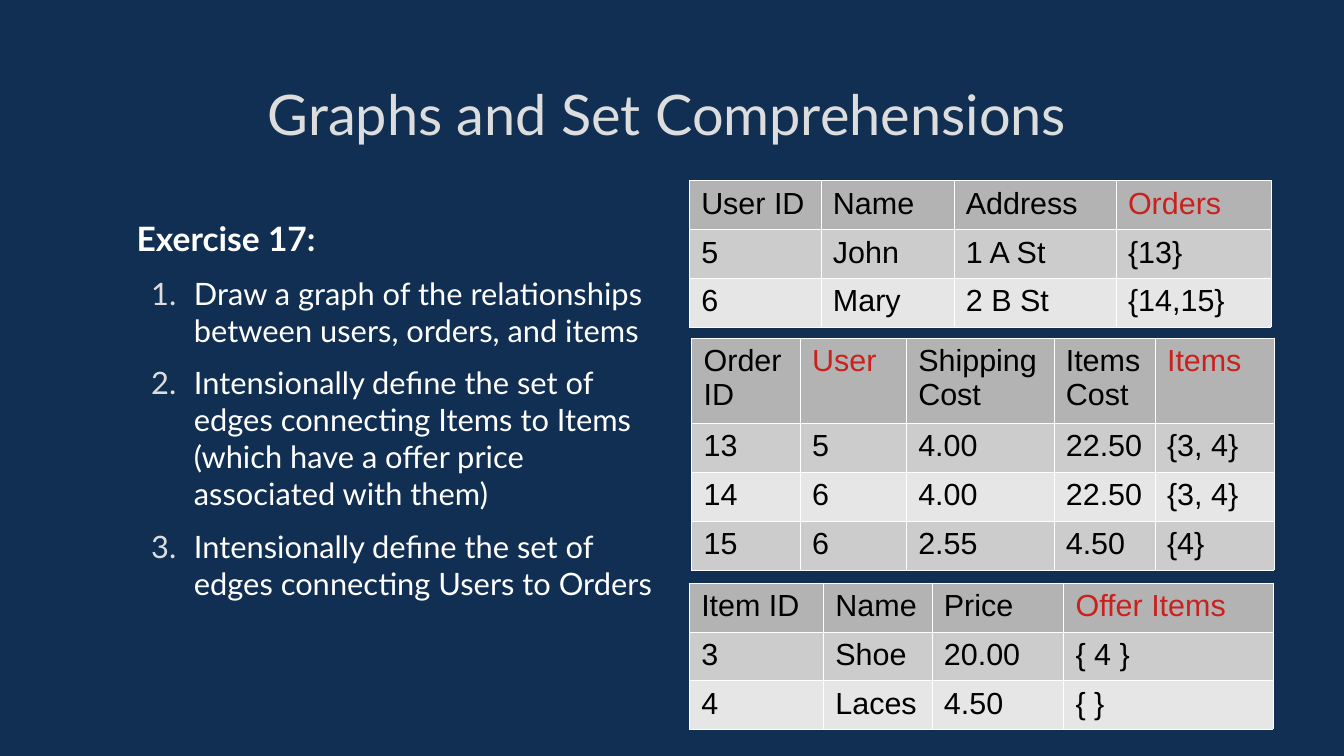
from lxml.etree import SubElement
from pptx import Presentation
from pptx.dml.color import RGBColor
from pptx.enum.text import MSO_ANCHOR, PP_ALIGN
from pptx.oxml.ns import qn
from pptx.util import Inches, Pt

COLORS = {
    "background": "112F52",
    "title": "DDDDDD",
    "body": "FFFFFF",
    "border": "FFFFFF",
    "cell": "000000",
    "relation": "C9211E",
    "header": "B3B3B3",
    "odd": "CCCCCC",
    "even": "E6E6E6",
}


def set_font(paragraph, name, size, color, bold=False):
    font = paragraph.font
    font.name, font.size, font.bold = name, Pt(size), bold
    font.color.rgb = RGBColor.from_string(COLORS[color])


def add_text_frame(left, top, width, height):
    """Add a wrapping text box without insets and return its text frame."""
    frame = slide.shapes.add_textbox(
        Inches(left), Inches(top), Inches(width), Inches(height)).text_frame
    frame.word_wrap = True
    frame.margin_left = frame.margin_right = 0
    frame.margin_top = frame.margin_bottom = 0
    return frame


prs = Presentation()
prs.slide_width, prs.slide_height = Inches(11.02), Inches(6.2)
slide = prs.slides.add_slide(prs.slide_layouts[6])
slide.background.fill.solid()
slide.background.fill.fore_color.rgb = RGBColor.from_string(COLORS["background"])

title = add_text_frame(0.65, 0.38, 9.76, 1.09)
title.vertical_anchor = MSO_ANCHOR.MIDDLE
heading = title.paragraphs[0]
heading.text = "Graphs and Set Comprehensions "
heading.alignment = PP_ALIGN.CENTER
set_font(heading, "Lato", 33, "title")

# Exercise text with numbered tasks
exercise = add_text_frame(0.65, 1.79, 4.76, 3.58)
exercise_heading = exercise.paragraphs[0]
exercise_heading.text = "Exercise 17:"
exercise_heading._p.get_or_add_pPr().set("marL", str(Inches(0.47)))
set_font(exercise_heading, "Lato", 19.8, "body", bold=True)

tasks = [
    "Draw a graph of the relationships between users, orders, and items",
    "Intensionally define the set of edges connecting Items to Items "
    "(which have a offer price associated with them)",
    "Intensionally define the set of edges connecting Users to Orders",
]
for task_text in tasks:
    task = exercise.add_paragraph()
    task.text = task_text
    task.level = 1
    task.space_before = Pt(9.3)
    properties = task._p.get_or_add_pPr()
    properties.set("marL", str(Inches(0.94)))
    properties.set("indent", str(Inches(-0.35)))
    number_color = SubElement(properties, qn("a:buClr"))
    SubElement(number_color, qn("a:srgbClr"), val=COLORS["title"])
    SubElement(properties, qn("a:buAutoNum"), type="arabicPeriod")
    set_font(task, "Lato", 18.2, "body")

# Data tables: left, top, header height, column widths, rows
ROW_HEIGHT = 0.38
relation_columns = {"Orders", "User", "Items", "Offer Items"}
data_tables = [
    (5.65, 1.48, ROW_HEIGHT, [1.08, 1.09, 1.33, 1.27], [
        ["User ID", "Name", "Address", "Orders"],
        ["5", "John", "1 A St", "{13}"],
        ["6", "Mary", "2 B St", "{14,15}"],
    ]),
    (5.67, 2.77, 0.66, [0.89, 0.87, 1.21, 0.83, 0.98], [
        ["Order ID", "User", "Shipping Cost", "Items Cost", "Items"],
        ["13", "5", "4.00", "22.50", "{3, 4}"],
        ["14", "6", "4.00", "22.50", "{3, 4}"],
        ["15", "6", "2.55", "4.50", "{4}"],
    ]),
    (5.65, 4.78, ROW_HEIGHT, [1.1, 0.89, 1.08, 1.72], [
        ["Item ID", "Name", "Price", "Offer Items"],
        ["3", "Shoe", "20.00", "{ 4 }"],
        ["4", "Laces", "4.50", "{ }"],
    ]),
]
for left, top, header_height, widths, rows in data_tables:
    heights = [header_height] + [ROW_HEIGHT] * (len(rows) - 1)
    table = slide.shapes.add_table(
        len(rows), len(widths), Inches(left), Inches(top),
        Inches(sum(widths)), Inches(sum(heights))).table
    table.first_row = table.horz_banding = False
    for column, width in zip(table.columns, widths):
        column.width = Inches(width)
    for r, (values, height) in enumerate(zip(rows, heights)):
        table.rows[r].height = Inches(height)
        band = "header" if r == 0 else "odd" if r % 2 else "even"
        for c, value in enumerate(values):
            cell = table.cell(r, c)
            cell.text = value
            color = "relation" if value in relation_columns else "cell"
            set_font(cell.text_frame.paragraphs[0], "Arial", 18, color)
            for side in ("a:lnL", "a:lnR", "a:lnT", "a:lnB"):
                border = SubElement(cell._tc.get_or_add_tcPr(), qn(side),
                                    w=str(Pt(0.06)))
                border_fill = SubElement(border, qn("a:solidFill"))
                SubElement(border_fill, qn("a:srgbClr"), val=COLORS["border"])
            cell.fill.solid()
            cell.fill.fore_color.rgb = RGBColor.from_string(COLORS[band])

prs.save("out.pptx")
